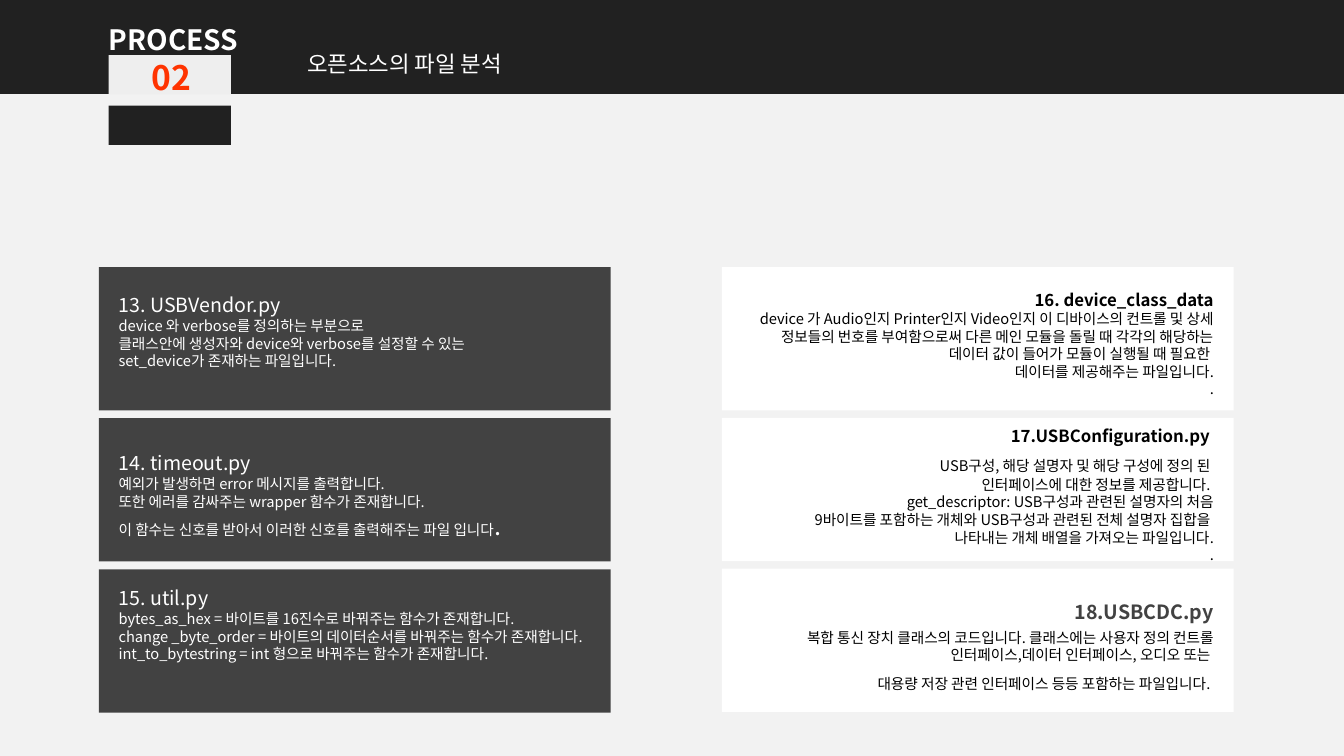
import pptx
import pptx.util
import pptx.dml.color
import pptx.enum.shapes
import pptx.enum.text
import pptx.oxml.ns
import lxml.etree

Cm = pptx.util.Cm
Pt = pptx.util.Pt
ALIGN = pptx.enum.text.PP_ALIGN
ANCHOR = pptx.enum.text.MSO_ANCHOR
FONT = "Noto Sans CJK KR"
HEX = {
    "page": "F2F2F2",
    "band": "212121",
    "tab": "EEEEEE",
    "dark": "424242",
    "white": "FFFFFF",
    "black": "000000",
    "red": "FF3300",
}

LEFT = [
    ("13. USBVendor.py", {}, [
        ("device 와 verbose를 정의하는 부분으로", {}),
        ("클래스안에 생성자와 device와 verbose를 설정할 수 있는 ", {}),
        ("set_device가 존재하는 파일입니다.", {}),
    ], {"foot": 0.79}),
    ("14. timeout.py", {}, [
        ("예외가 발생하면 error 메시지를 출력합니다.", {}),
        ("또한 에러를 감싸주는 wrapper 함수가 존재합니다.", {}),
        ("이 함수는 신호를 받아서 이러한 신호를 출력해주는 파일 입니다", {"dot": 18}),
    ], {}),
    ("15. util.py", {}, [
        ("bytes_as_hex = 바이트를 16진수로 바꿔주는 함수가 존재합니다.", {}),
        ("change _byte_order = 바이트의 데이터순서를 바꿔주는 함수가 존재합니다.", {}),
        ("int_to_bytestring = int 형으로 바꿔주는 함수가 존재합니다.", {}),
    ], {"anchor": ANCHOR.TOP}),
]

RIGHT = [
    ("16. device_class_data", {}, [
        ("device 가 Audio인지 Printer인지 Video인지 이 디바이스의 컨트롤 및 "
         "상세 정보들의 번호를 부여함으로써 다른 메인 모듈을 돌릴 때 각각의 해당하는 "
         "데이터 값이 들어가 모듈이 실행될 때 필요한 ", {}),
        ("데이터를 제공해주는 파일입니다.", {}),
        (".", {}),
    ], {}),
    ("17.USBConfiguration.py ", {}, [
        ("USB구성, 해당 설명자 및 해당 구성에 정의 된 ", {"before": 8, "after": 1}),
        ("인터페이스에 대한 정보를 제공합니다. ", {}),
        ("get_descriptor: USB구성과 관련된 설명자의 처음", {}),
        ("9바이트를 포함하는 개체와 USB구성과 관련된 전체 설명자 집합을 ", {}),
        ("나타내는 개체 배열을 가져오는 파일입니다.", {}),
        (".", {}),
    ], {}),
    ("18.USBCDC.py", {"size": 14, "color": "dark"}, [
        ("복합 통신 장치 클래스의 코드입니다. 클래스에는 사용자 정의 컨트롤 "
         "인터페이스,데이터 인터페이스, 오디오 또는 ", {"before": 4}),
        ("대용량 저장 관련 인터페이스 등등 포함하는 파일입니다. ",
         {"before": 8, "after": 3}),
    ], {}),
]


def tint(name):
    return pptx.dml.color.RGBColor.from_string(HEX[name])


def add_run(para, text, size, color, bold):
    run = para.add_run()
    run.text = text
    font = run.font
    font.name = FONT
    font.size = Pt(size)
    font.bold = bold
    font.color.rgb = tint(color)
    tag = pptx.oxml.ns.qn("a:ea")
    lxml.etree.SubElement(font._element, tag).set("typeface", FONT)


def write(frame, text, size=10.5, color="white", bold=False,
          align=ALIGN.LEFT, space=1.0, before=0, after=0, dot=None):
    para = frame.paragraphs[0]
    if para.runs:
        para = frame.add_paragraph()
    para.alignment = align
    para.line_spacing = space
    para.space_before = Pt(before)
    para.space_after = Pt(after)
    add_run(para, text, size, color, bold)
    if dot:
        add_run(para, ".", dot, color, bold)


def add_box(slide, x, y, wide, high, fill):
    kind = pptx.enum.shapes.MSO_SHAPE.RECTANGLE
    box = slide.shapes.add_shape(kind, Cm(x), Cm(y), Cm(wide), Cm(high))
    box.shadow.inherit = False
    box.fill.solid()
    box.fill.fore_color.rgb = tint(fill)
    box.line.fill.background()
    return box


def add_label(slide, x, y, wide, high, text, wrap=True, **style):
    box = slide.shapes.add_textbox(Cm(x), Cm(y), Cm(wide), Cm(high))
    box.text_frame.word_wrap = wrap
    write(box.text_frame, text, **style)


def add_card(slide, x, y, fill, pads, card, head, body):
    title, extra, lines, place = card
    frame = add_box(slide, x, y, 12.9, 3.61, fill).text_frame
    frame.word_wrap = True
    frame.vertical_anchor = place.get("anchor", ANCHOR.MIDDLE)
    frame.margin_left, frame.margin_right = map(Cm, pads)
    frame.margin_top = Cm(0.13)
    frame.margin_bottom = Cm(place.get("foot", 0.13))
    write(frame, title, **{**head, "space": 1.5, **extra})
    for text, style in lines:
        write(frame, text, **body, **style)


def main():
    deck = pptx.Presentation()
    deck.slide_width = Cm(33.87)
    deck.slide_height = Cm(19.05)
    slide = deck.slides.add_slide(deck.slide_layouts[6])
    slide.background.fill.solid()
    slide.background.fill.fore_color.rgb = tint("page")

    add_box(slide, 0, 0, 33.87, 2.37, "band")
    add_label(slide, 2.49, 0.03, 4, 1.37, "PROCESS", wrap=True,
              size=20, bold=True, space=1.5)
    add_label(slide, 7.49, 0.81, 13.41, 1.14, "오픈소스의 파일 분석",
              size=16, space=1.5)
    add_box(slide, 2.74, 1.39, 3.08, 0.99, "tab")
    add_box(slide, 2.74, 2.66, 3.08, 0.99, "band")
    add_label(slide, 3.58, 1.3, 1.5, 1.27, "02", wrap=False,
              size=24, color="red", bold=True)

    black = {"color": "black", "align": ALIGN.RIGHT}
    for row, (left, right) in enumerate(zip(LEFT, RIGHT)):
        add_card(slide, 2.49, 6.73 + 3.81 * row, "dark", (0.5, 0.25), left,
                 {"size": 14}, {})
        add_card(slide, 18.19, 6.73 + 3.8 * row, "white", (0.5, 0.5), right,
                 {"size": 12, "bold": True, **black}, black)

    deck.save("out.pptx")


main()
